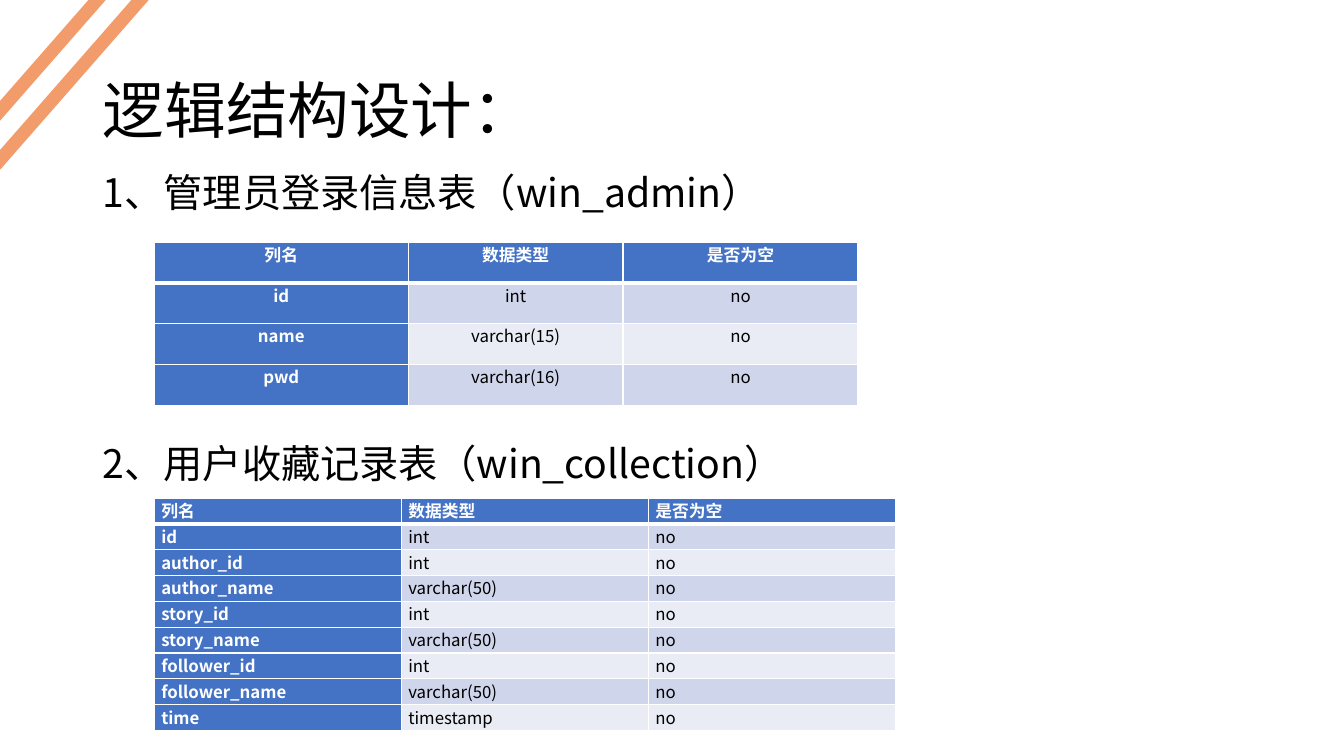
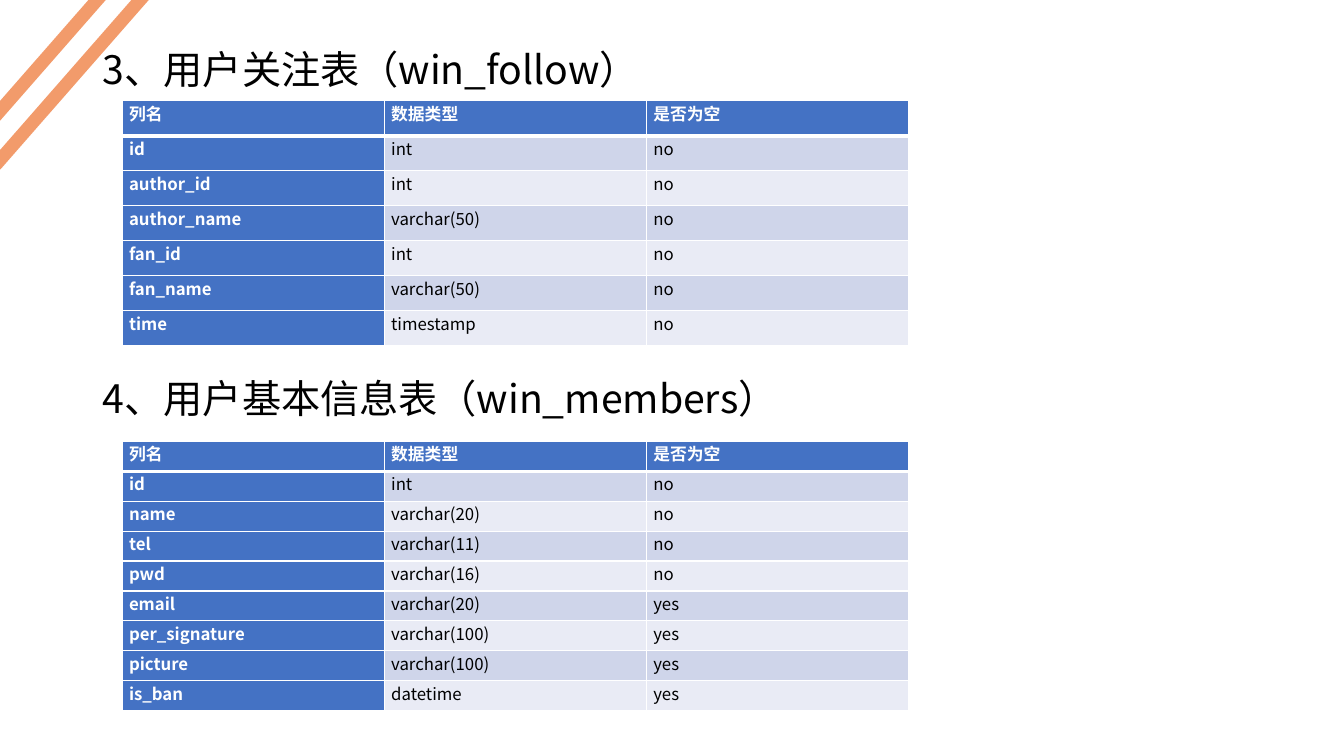
import pptx
import pptx.util
import pptx.dml.color
import pptx.enum.shapes
import pptx.enum.text
import pptx.oxml.ns
from lxml import etree

Inches = pptx.util.Inches
Pt = pptx.util.Pt
ALIGN = pptx.enum.text.PP_ALIGN
ANCHOR = pptx.enum.text.MSO_ANCHOR
qn = pptx.oxml.ns.qn

FONT = "Noto Sans CJK SC"
COLORS = {
    "text": "000000",
    "white": "FFFFFF",
    "header": "4472C4",
    "odd": "CFD5EA",
    "even": "E9EBF5",
    "stripe": "ED6A23",
}
STRIPES = [(-0.7, 0.51), (-0.44, 0.7)]
HEADINGS = ("列名", "数据类型", "是否为空")

ADMIN = [("id", "int", "no"), ("name", "varchar(15)", "no"), ("pwd", "varchar(16)", "no")]
COLLECTION = [
    ("id", "int", "no"),
    ("author_id", "int", "no"),
    ("author_name", "varchar(50)", "no"),
    ("story_id", "int", "no"),
    ("story_name", "varchar(50)", "no"),
    ("follower_id", "int", "no"),
    ("follower_name", "varchar(50)", "no"),
    ("time", "timestamp", "no"),
]
FOLLOW = [
    ("id", "int", "no"),
    ("author_id", "int", "no"),
    ("author_name", "varchar(50)", "no"),
    ("fan_id", "int", "no"),
    ("fan_name", "varchar(50)", "no"),
    ("time", "timestamp", "no"),
]
MEMBERS = [
    ("id", "int", "no"),
    ("name", "varchar(20)", "no"),
    ("tel", "varchar(11)", "no"),
    ("pwd", "varchar(16)", "no"),
    ("email", "varchar(20)", "yes"),
    ("per_signature", "varchar(100)", "yes"),
    ("picture", "varchar(100)", "yes"),
    ("is_ban", "datetime", "yes"),
]


def rgb(name):
    return pptx.dml.color.RGBColor.from_string(COLORS[name])


def write(p, text, size=12, color="text", bold=False, align=ALIGN.LEFT, spacing=1.0, before=0):
    p.alignment = align
    p.line_spacing = spacing
    p.space_before = Pt(before)
    r = p.add_run()
    r.text = text
    r.font.size = Pt(size)
    r.font.bold = bold
    r.font.color.rgb = rgb(color)
    r.font.name = FONT
    etree.SubElement(r.font._element, qn("a:ea"), typeface=FONT)


def place(sp, left, top, width, height, anchor):
    sp.left, sp.top, sp.width, sp.height = map(Inches, (left, top, width, height))
    tf = sp.text_frame
    tf.word_wrap = True
    tf.auto_size = pptx.enum.text.MSO_AUTO_SIZE.NONE
    tf.vertical_anchor = anchor
    return tf


def set_title(s, text):
    tf = place(s.shapes.title, 0.92, 0.4, 11.5, 1.45, ANCHOR.MIDDLE)
    write(tf.paragraphs[0], text, size=44, spacing=0.9)


def set_body(s, captions, top, height, gap):
    tf = place(s.placeholders[1], 0.92, top, 11.5, height, ANCHOR.TOP)
    for i, caption in enumerate(captions):
        p = tf.add_paragraph() if i else tf.paragraphs[0]
        pPr = p._p.get_or_add_pPr()
        pPr.set("marL", "0")
        pPr.set("indent", "0")
        etree.SubElement(pPr, qn("a:buNone"))
        write(p, caption, size=28, spacing=0.9, before=gap if i else 0)


def add_stripes(s):
    for left, top in STRIPES:
        sp = s.shapes.add_shape(
            pptx.enum.shapes.MSO_SHAPE.RECTANGLE,
            Inches(left), Inches(top), Inches(2.32), Inches(0.13),
        )
        sp.rotation = 311.2
        sp.shadow.inherit = False
        sp.line.fill.background()
        sp.fill.solid()
        sp.fill.fore_color.rgb = rgb("stripe")
        clr = sp._element.spPr.find(qn("a:solidFill"))[0]
        etree.SubElement(clr, qn("a:alpha"), val="67000")


def set_borders(cell, top, bottom):
    tcPr = cell._tc.get_or_add_tcPr()
    for side, width in (("L", 1), ("R", 1), ("T", top), ("B", bottom)):
        ln = etree.SubElement(tcPr, qn(f"a:ln{side}"), w=str(Pt(width)))
        fill = etree.SubElement(ln, qn("a:solidFill"))
        etree.SubElement(fill, qn("a:srgbClr"), val=COLORS["white"])


def add_fields(s, fields, left, top, widths, height, align=ALIGN.JUSTIFY):
    rows = [HEADINGS, *fields]
    table = s.shapes.add_table(
        len(rows), len(widths),
        Inches(left), Inches(top), Inches(sum(widths)), Inches(height),
    ).table
    for column, width in zip(table.columns, widths):
        column.width = Inches(width)
    for i, row in enumerate(rows):
        for j, text in enumerate(row):
            cell = table.cell(i, j)
            cell.margin_left = cell.margin_right = Inches(0.07)
            cell.margin_top = cell.margin_bottom = 0
            set_borders(cell, 3 if i == 1 else 1, 3 if i == 0 else 1)
            head = i == 0 or j == 0
            cell.fill.solid()
            cell.fill.fore_color.rgb = rgb("header" if head else "odd" if i % 2 else "even")
            write(cell.text_frame.paragraphs[0], text, bold=head, align=align,
                  color="white" if head else "text")


def add_slide(prs, captions, top, height, gap, title=None):
    s = prs.slides.add_slide(prs.slide_layouts[1])
    if title:
        set_title(s, title)
    else:
        sp = s.shapes.title._element
        sp.getparent().remove(sp)
    set_body(s, captions, top, height, gap)
    add_stripes(s)
    return s


def main():
    prs = pptx.Presentation()
    prs.slide_width, prs.slide_height = Inches(13.33), Inches(7.5)

    s = add_slide(prs, ["1、管理员登录信息表（win_admin）", "2、用户收藏记录表（win_collection）"],
                  1.67, 4.76, 163.5, title="逻辑结构设计：")
    add_fields(s, ADMIN, 1.53, 2.4, [2.52, 2.13, 2.33], 1.62, align=ALIGN.CENTER)
    add_fields(s, COLLECTION, 1.53, 4.94, [2.45] * 3, 2.31)

    s = add_slide(prs, ["3、用户关注表（win_follow）", "4、用户基本信息表（win_members）"],
                  0.45, 6.31, 205)
    add_fields(s, FOLLOW, 1.21, 1, [2.6] * 3, 2.43)
    add_fields(s, MEMBERS, 1.21, 4.38, [2.6] * 3, 2.67)

    prs.save("out.pptx")


if __name__ == "__main__":
    main()
